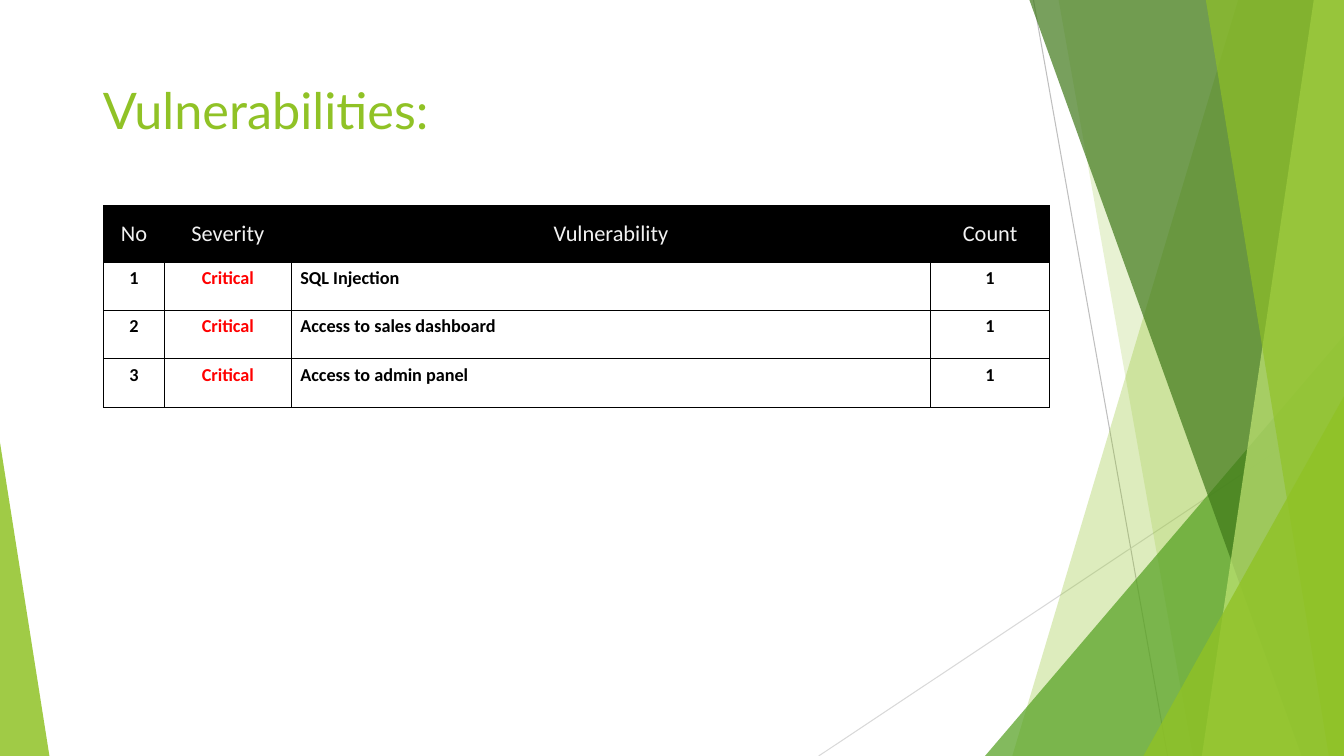
from dataclasses import dataclass

from lxml import etree
from pptx import Presentation
from pptx.dml.color import RGBColor
from pptx.enum.shapes import MSO_CONNECTOR, MSO_SHAPE
from pptx.enum.text import MSO_ANCHOR, MSO_AUTO_SIZE, PP_ALIGN
from pptx.oxml import parse_xml
from pptx.oxml.ns import nsdecls, qn
from pptx.util import Inches, Pt

STRAIGHT = MSO_CONNECTOR.STRAIGHT
TRIANGLE = MSO_SHAPE.ISOSCELES_TRIANGLE
TOP, MIDDLE = MSO_ANCHOR.TOP, MSO_ANCHOR.MIDDLE
LEFT, CENTER = PP_ALIGN.LEFT, PP_ALIGN.CENTER
NO_AUTOFIT = MSO_AUTO_SIZE.NONE


@dataclass(frozen=True)
class Theme:
    lime: str = "90C226"
    green: str = "54A021"
    forest: str = "3F7819"
    pale_lime: str = "C0E474"
    steep_line: str = "BFBFBF"
    shallow_line: str = "D9D9D9"
    black: str = "000000"
    header_text: str = "F2F2F2"
    critical: str = "FF0000"
    title_font: str = "Lato"
    table_font: str = "Calibri"
    title_size: int = 36
    header_size: int = 16
    body_size: int = 13


THEME = Theme()

COLUMN_WIDTHS = (0.6, 1.26, 6.34, 1.18)
HEADER_HEIGHT, ROW_HEIGHT = 0.56, 0.48
HEADINGS = ("No", "Severity", "Vulnerability", "Count")
FINDINGS = (
    ("Critical", "SQL Injection", 1),
    ("Critical", "Access to sales dashboard", 1),
    ("Critical", "Access to admin panel", 1),
)


def write_text(frame, text, *, font, size, color, bold=False, align=LEFT, spacing=None):
    paragraph = frame.paragraphs[0]
    paragraph.alignment = align
    paragraph.line_spacing = spacing
    run = paragraph.add_run()
    run.text = text
    run.font.name = font
    run.font.size = Pt(size)
    run.font.bold = bold
    run.font.color.rgb = RGBColor.from_string(color)


def paint(shape, color, opacity):
    """Give a shape a see-through fill, no outline and no shadow."""
    shape.shadow.inherit = False
    shape.line.fill.background()
    shape.fill.solid()
    shape.fill.fore_color.rgb = RGBColor.from_string(color)
    swatch = shape.fill._xPr.find(qn("a:solidFill"))[0]
    etree.SubElement(swatch, qn("a:alpha"), val=str(opacity * 1000))


def add_hairline(slide, start, end, color):
    hairline = slide.shapes.add_connector(STRAIGHT, *map(Inches, start + end))
    hairline.line.color.rgb = RGBColor.from_string(color)
    hairline.line.width = Pt(0.75)
    etree.SubElement(hairline._element.spPr, qn("a:effectLst"))


def add_backdrop(slide, box):
    left, top, width, height = box
    right, bottom = left + width, top + height

    # Thin crossing lines
    add_hairline(slide, (left + 10.25, top), (left + 11.58, bottom), THEME.steep_line)
    add_hairline(slide, (right, top + 4.03), (left + 8.12, bottom), THEME.shallow_line)

    def add_ribbon(top_x, bottom_x, color, opacity):
        """A band from a slanted left side to the right edge of the box."""
        builder = slide.shapes.build_freeform(Inches(left + top_x), Inches(top))
        corners = ((right, top), (right, bottom), (left + bottom_x, bottom))
        builder.add_line_segments([(Inches(x), Inches(y)) for x, y in corners])
        paint(builder.convert_to_shape(), color, opacity)

    def add_wedge(x, wedge_width, wedge_height, apex, color, opacity):
        """A right-angled triangle standing on the bottom of the box."""
        wedge = slide.shapes.add_shape(
            TRIANGLE, Inches(x), Inches(bottom - wedge_height),
            Inches(wedge_width), Inches(wedge_height))
        wedge.adjustments[0] = apex
        paint(wedge, color, opacity)

    # Overlapping bands and wedges, from back to front
    add_ribbon(12.28, 10.04, THEME.lime, 30)
    add_ribbon(10.5, 11.83, THEME.lime, 20)
    add_wedge(right - 3.56, 3.56, 4.17, 1, THEME.green, 72)
    add_ribbon(10.21, 12.91, THEME.forest, 70)
    add_ribbon(13.03, 11.92, THEME.pale_lime, 70)
    add_ribbon(11.96, 13.18, THEME.lime, 65)
    add_wedge(right - 1.99, 1.99, 3.57, 1, THEME.lime, 80)
    add_wedge(left, 0.49, 3.11, 0, THEME.lime, 85)


def add_title(slide, box):
    title = slide.shapes.title
    title.left, title.top, title.width, title.height = map(Inches, box)
    frame = title.text_frame
    frame.auto_size = NO_AUTOFIT
    frame.word_wrap = True
    frame.vertical_anchor = MIDDLE
    write_text(frame, "Vulnerabilities:", font=THEME.title_font,
               size=THEME.title_size, color=THEME.lime, spacing=0.9)


def add_borders(cell):
    properties = cell._tc.get_or_add_tcPr()
    for position, side in enumerate(("lnL", "lnR", "lnT", "lnB")):
        border = parse_xml(
            f'<a:{side} {nsdecls("a")} w="{Pt(1)}"><a:solidFill>'
            f'<a:srgbClr val="{THEME.black}"/></a:solidFill></a:{side}>')
        properties.insert(position, border)


def add_findings_table(slide, box):
    rows = [HEADINGS]
    rows += [(number, *finding) for number, finding in enumerate(FINDINGS, 1)]
    table = slide.shapes.add_table(
        len(rows), len(HEADINGS), *map(Inches, box)).table
    table.first_row = table.horz_banding = False
    for column, width in zip(table.columns, COLUMN_WIDTHS):
        column.width = Inches(width)

    for row_index, values in enumerate(rows):
        header = row_index == 0
        table.rows[row_index].height = Inches(HEADER_HEIGHT if header else ROW_HEIGHT)
        for heading, cell, value in zip(HEADINGS, table.rows[row_index].cells, values):
            cell.margin_left = cell.margin_right = Inches(0.09)
            cell.vertical_anchor = MIDDLE if header else TOP
            if header:
                cell.fill.solid()
                cell.fill.fore_color.rgb = RGBColor.from_string(THEME.black)
                color = THEME.header_text
            else:
                cell.fill.background()
                color = THEME.critical if heading == "Severity" else THEME.black
            add_borders(cell)
            described = heading == "Vulnerability" and not header
            write_text(cell.text_frame, str(value), font=THEME.table_font,
                       size=THEME.header_size if header else THEME.body_size,
                       color=color, bold=not header,
                       align=LEFT if described else CENTER)


def main():
    deck = Presentation()
    deck.slide_width, deck.slide_height = Inches(13.33), Inches(7.5)
    slide = deck.slides.add_slide(deck.slide_layouts[5])  # title only
    add_backdrop(slide, (0, 0, 13.33, 7.5))
    add_title(slide, (0.92, 0.4, 11.5, 1.45))
    add_findings_table(slide, (1.03, 2.04, 9.38, 2))
    deck.save("out.pptx")


if __name__ == "__main__":
    main()
